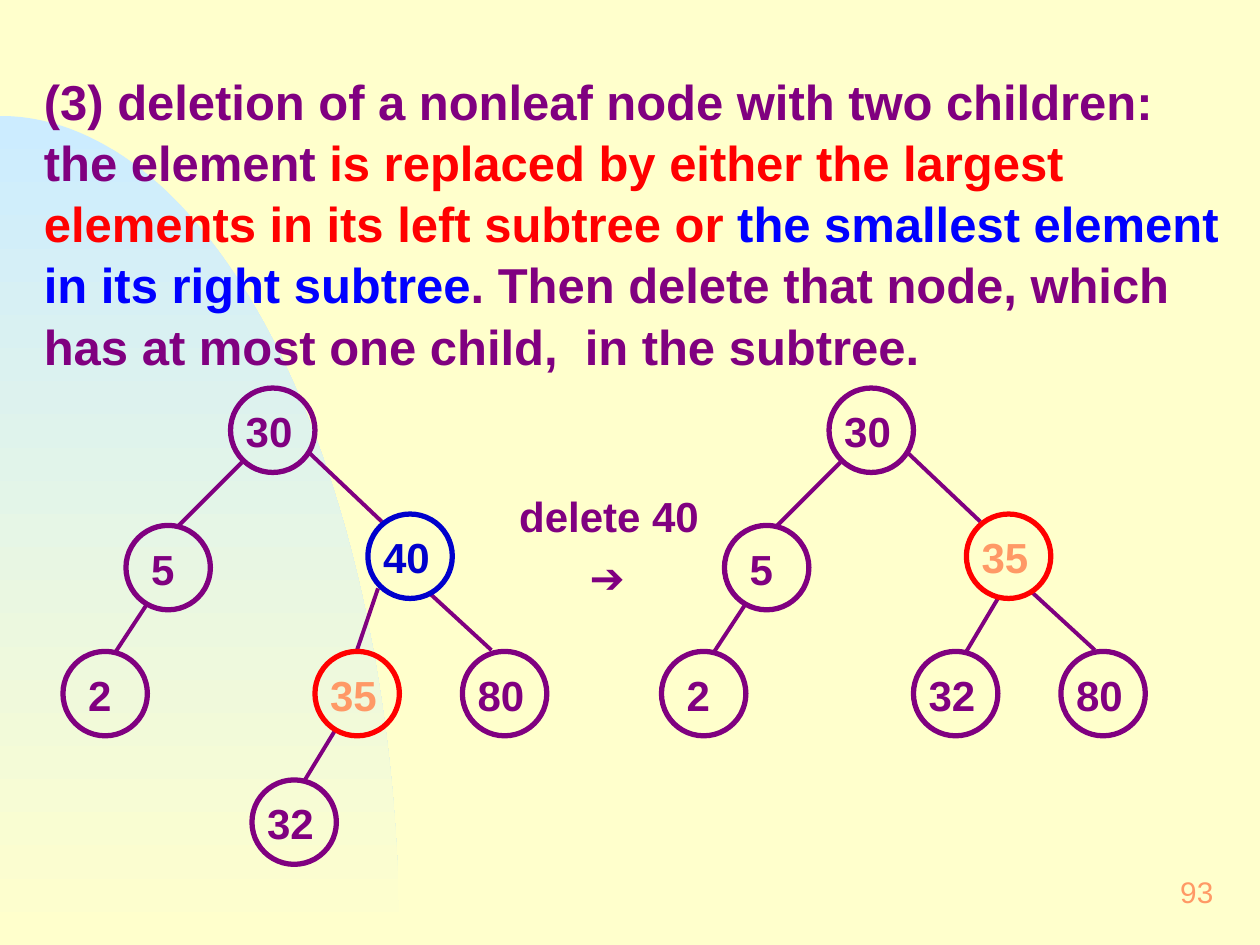
from math import cos, pi, sin

from lxml.etree import SubElement
from pptx import Presentation
from pptx.dml.color import RGBColor
from pptx.enum.shapes import MSO_CONNECTOR as Connector, MSO_SHAPE as Shape
from pptx.enum.text import MSO_ANCHOR as Anchor, PP_ALIGN as Align
from pptx.oxml.ns import qn
from pptx.util import Inches, Pt

COLORS = {
    "cream": "FFFFCC",
    "sky": "CCECFF",
    "purple": "800080",
    "red": "FF0000",
    "blue": "0000FF",
    "navy": "0000CC",
    "orange": "FF9966",
}
NODE_SIZE = 0.67
TREE_SHIFT = 4.75


def color(name):
    return RGBColor.from_string(COLORS[name])


def add_text(left, top, width, height, paragraphs, size, bold=True, inset=(0.12, 0.06)):
    box = page.shapes.add_textbox(Inches(left), Inches(top), Inches(width), Inches(height))
    frame = box.text_frame
    frame.word_wrap = True
    frame.margin_left = frame.margin_right = Inches(inset[0])
    frame.margin_top = frame.margin_bottom = Inches(inset[1])
    for index, spans in enumerate(paragraphs):
        para = frame.add_paragraph() if index else frame.paragraphs[0]
        for text, tint in spans:
            span = para.add_run()
            span.text = text
            span.font.name = "Arial"
            span.font.size = Pt(size)
            span.font.bold = bold
            span.font.color.rgb = color(tint)
    return frame


deck = Presentation()
deck.slide_width, deck.slide_height = Inches(10), Inches(7.5)
page = deck.slides.add_slide(deck.slide_layouts[6])
page.background.fill.solid()
page.background.fill.fore_color.rgb = color("cream")

arc_steps = 90
arc = [
    (Inches(3.17 * sin(pi / 2 * step / arc_steps)), Inches(7.5 - 6.58 * cos(pi / 2 * step / arc_steps)))
    for step in range(arc_steps + 1)
]
builder = page.shapes.build_freeform(*arc[0])
builder.add_line_segments(arc[1:] + [(0, Inches(7.5))], close=True)
hill = builder.convert_to_shape()
hill.shadow.inherit = False
hill.line.fill.background()
hill.fill.gradient()
hill.fill.gradient_angle = 270
for stop, name, position in zip(hill.fill.gradient_stops, ("sky", "cream"), (0, 1)):
    stop.color.rgb = color(name)
    stop.position = position

number = add_text(7.67, 6.83, 2.08, 0.5, [[("93", "orange")]], 17, bold=False)
number.vertical_anchor = Anchor.MIDDLE
number.paragraphs[0].alignment = Align.RIGHT

rule = add_text(0.25, 0.5, 9.58, 2.44, [[
    ("(3) deletion of a nonleaf node with two children: the element ", "purple"),
    ("is replaced by either the largest elements in its left subtree or ", "red"),
    ("the smallest element in its right subtree", "blue"),
    (". Then delete that node, which has at most one child,  in the subtree.", "purple"),
]], 28, inset=(0.1, 0.05))
rule.paragraphs[0].line_spacing = 1.04

action = add_text(4, 3.83, 1.75, 1.01, [[("delete 40", "purple")], [("➔", "purple")]], 24)
arrow = action.paragraphs[1]
arrow.space_before = Pt(6)
arrow._p.get_or_add_pPr().set("marL", str(Inches(0.56)))

shared_nodes = [
    ("30", 1.83, 3.08, "purple", "purple"),
    ("5", 1, 4.17, "purple", "purple"),
    ("2", 0.5, 5.17, "purple", "purple"),
    ("80", 3.67, 5.17, "purple", "purple"),
]
shared_edges = [
    (1.92, 3.67, 1.42, 4.17),
    (1.17, 4.79, 0.92, 5.17),
    (2.45, 3.59, 3.03, 4.14),
]
nodes = [
    ("40", 2.92, 4.08, "navy", "navy"),
    ("35", 2.5, 5.17, "red", "orange"),
    ("32", 2, 6.19, "purple", "purple"),
    ("35", 7.67, 4.08, "red", "orange"),
    ("32", 7.25, 5.17, "purple", "purple"),
]
edges = [
    (3.4, 4.7, 3.9, 5.16),
    (3, 4.67, 2.83, 5.17),
    (2.67, 5.78, 2.42, 6.19),
    (8.19, 4.7, 8.69, 5.16),
    (7.92, 4.75, 7.67, 5.17),
]
for shift in (0, TREE_SHIFT):
    nodes += [(key, left + shift, top, ring, ink) for key, left, top, ring, ink in shared_nodes]
    edges += [(x1 + shift, y1, x2 + shift, y2) for x1, y1, x2, y2 in shared_edges]

for x1, y1, x2, y2 in edges:
    edge = page.shapes.add_connector(Connector.STRAIGHT, Inches(x1), Inches(y1), Inches(x2), Inches(y2))
    edge.line.color.rgb = color("purple")
    edge.line.width = Pt(2.25)
    SubElement(edge._element.spPr, qn("a:effectLst"))

for key, left, top, ring, ink in nodes:
    node = page.shapes.add_shape(
        Shape.OVAL, Inches(left), Inches(top), Inches(NODE_SIZE), Inches(NODE_SIZE))
    node.shadow.inherit = False
    node.fill.background()
    node.line.color.rgb = color(ring)
    node.line.width = Pt(3)
    indent, width = (0.08, 0.5) if len(key) == 1 else (0, 0.75)
    add_text(left + indent, top + 0.08, width, 0.52, [[(key, ink)]], 24)

deck.save("out.pptx")
